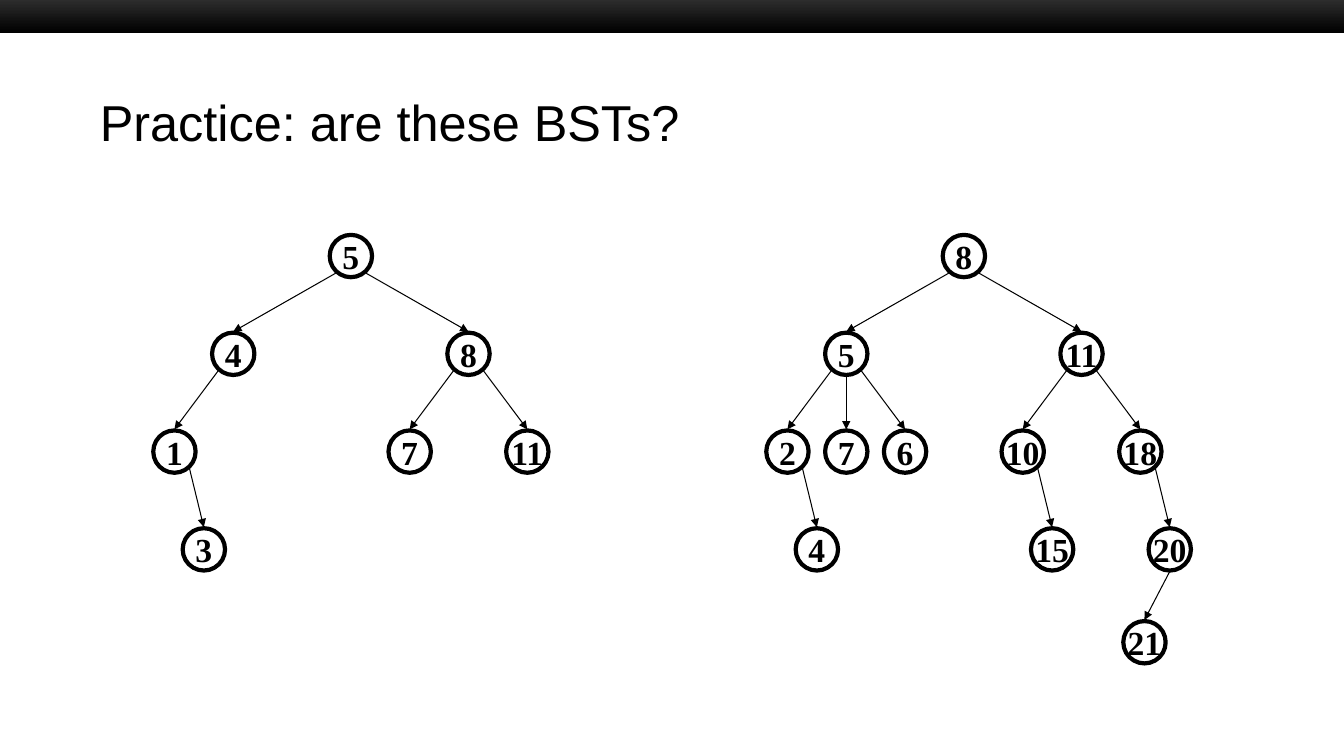
from dataclasses import dataclass

from lxml import etree
from pptx import Presentation, util as u
from pptx.dml.color import RGBColor
from pptx.enum import dml, shapes, text
from pptx.oxml import ns

BLACK = RGBColor(0x00, 0x00, 0x00)
CHARCOAL = RGBColor(0x33, 0x33, 0x33)
WHITE = RGBColor(0xFF, 0xFF, 0xFF)

WIDTH, HEIGHT = 13.33, 7.5
COLUMN = 3.5 / 12      # horizontal step of the tree grid, inches
ROW = 0.97             # vertical step between tree levels
TOP = 2.54             # centre of the root level
DIAMETER = 0.42
SIDE_X, SIDE_Y = 0.15, 0.17   # where a slanted edge leaves its parent
GAP = 0.22                    # where an edge meets a node's top or bottom


@dataclass(frozen=True)
class Node:
    """Place in columns from the root and rows below it; side is -1, 0 or 1."""
    label: str
    column: float = 0
    row: float = 0
    side: int = 0
    children: tuple["Node", ...] = ()


@dataclass(frozen=True)
class Tree:
    center: float
    root: Node


TREES = (
    Tree(3.48, Node("5", children=(
        Node("4", -4, 1, -1, (
            Node("1", -6, 2, -1, (Node("3", -5, 3, 1),)),)),
        Node("8", 4, 1, 1, (
            Node("7", 2, 2, -1),
            Node("11", 6, 2, 1))),
    ))),
    Tree(9.56, Node("8", children=(
        Node("5", -4, 1, -1, (
            Node("2", -6, 2, -1, (Node("4", -5, 3, 1),)),
            Node("7", -4, 2, 0),
            Node("6", -2, 2, 1))),
        Node("11", 4, 1, 1, (
            Node("10", 2, 2, -1, (Node("15", 3, 3, 1),)),
            Node("18", 6, 2, 1, (
                Node("20", 7, 3, 1, (Node("21", 6.14, 3.95, 0),)),)))),
    ))),
)


def write(shape, words: str, *, size: float, font: str, bold: bool = False,
          align=text.PP_ALIGN.LEFT, wrap: bool = True) -> None:
    frame = shape.text_frame
    frame.word_wrap = wrap
    frame.auto_size = text.MSO_AUTO_SIZE.NONE
    frame.vertical_anchor = text.MSO_ANCHOR.MIDDLE
    para = frame.paragraphs[0]
    para.alignment = align
    span = para.add_run()
    span.text = words
    span.font.size = u.Pt(size)
    span.font.name = font
    span.font.bold = bold
    span.font.color.rgb = BLACK


def position(tree: Tree, node: Node) -> tuple[float, float]:
    return tree.center + node.column * COLUMN, TOP + node.row * ROW


def draw_edge(group, tree: Tree, parent: Node, child: Node) -> None:
    px, py = position(tree, parent)
    cx, cy = position(tree, child)
    start_y = py + (SIDE_Y if child.side else GAP)
    edge = group.shapes.add_connector(
        shapes.MSO_CONNECTOR.STRAIGHT,
        u.Inches(px + child.side * SIDE_X), u.Inches(start_y),
        u.Inches(cx), u.Inches(cy - GAP))
    edge.line.color.rgb = BLACK
    edge.line.width = u.Pt(0.75)
    # Arrowhead at the child, and no theme shadow
    etree.SubElement(edge.line._get_or_add_ln(), ns.qn("a:tailEnd"), type="triangle")
    etree.SubElement(edge._element.spPr, ns.qn("a:effectLst"))


def draw_node(group, tree: Tree, node: Node) -> None:
    x, y = position(tree, node)
    circle = group.shapes.add_shape(
        shapes.MSO_SHAPE.OVAL,
        u.Inches(x - DIAMETER / 2), u.Inches(y - DIAMETER / 2),
        u.Inches(DIAMETER), u.Inches(DIAMETER))
    circle.shadow.inherit = False
    circle.fill.background()
    circle.line.color.rgb = BLACK
    circle.line.width = u.Pt(3)
    write(circle, node.label, size=24, font="Times New Roman", bold=True,
          align=text.PP_ALIGN.CENTER, wrap=False)
    for child in node.children:
        draw_edge(group, tree, node, child)
        draw_node(group, tree, child)


def draw_top_bar(page) -> None:
    bar = page.shapes.add_shape(
        shapes.MSO_SHAPE.RECTANGLE, 0, u.Inches(-0.05),
        u.Inches(WIDTH), u.Inches(0.38))
    bar.shadow.inherit = False
    bar.line.fill.background()
    bar.fill.gradient()
    bar.fill.gradient_angle = 270
    for stop, color, place in zip(bar.fill.gradient_stops, (CHARCOAL, BLACK), (0, 1)):
        stop.color.rgb = color
        stop.color.brightness = 0
        stop.position = place


def draw_title(page) -> None:
    title = page.shapes.title
    title.left, title.top = u.Inches(0.89), u.Inches(0.83)
    title.width, title.height = u.Inches(11.56), u.Inches(0.75)
    write(title, "Practice: are these BSTs?", size=36, font="Arial")


def main() -> None:
    deck = Presentation()
    deck.slide_width, deck.slide_height = u.Inches(WIDTH), u.Inches(HEIGHT)
    page = deck.slides.add_slide(deck.slide_layouts.get_by_name("Title Only"))
    page.background.fill.solid()
    page.background.fill.fore_color.rgb = WHITE

    draw_top_bar(page)
    for tree in TREES:
        draw_node(page.shapes.add_group_shape(), tree, tree.root)
    draw_title(page)
    deck.save("out.pptx")


if __name__ == "__main__":
    main()
